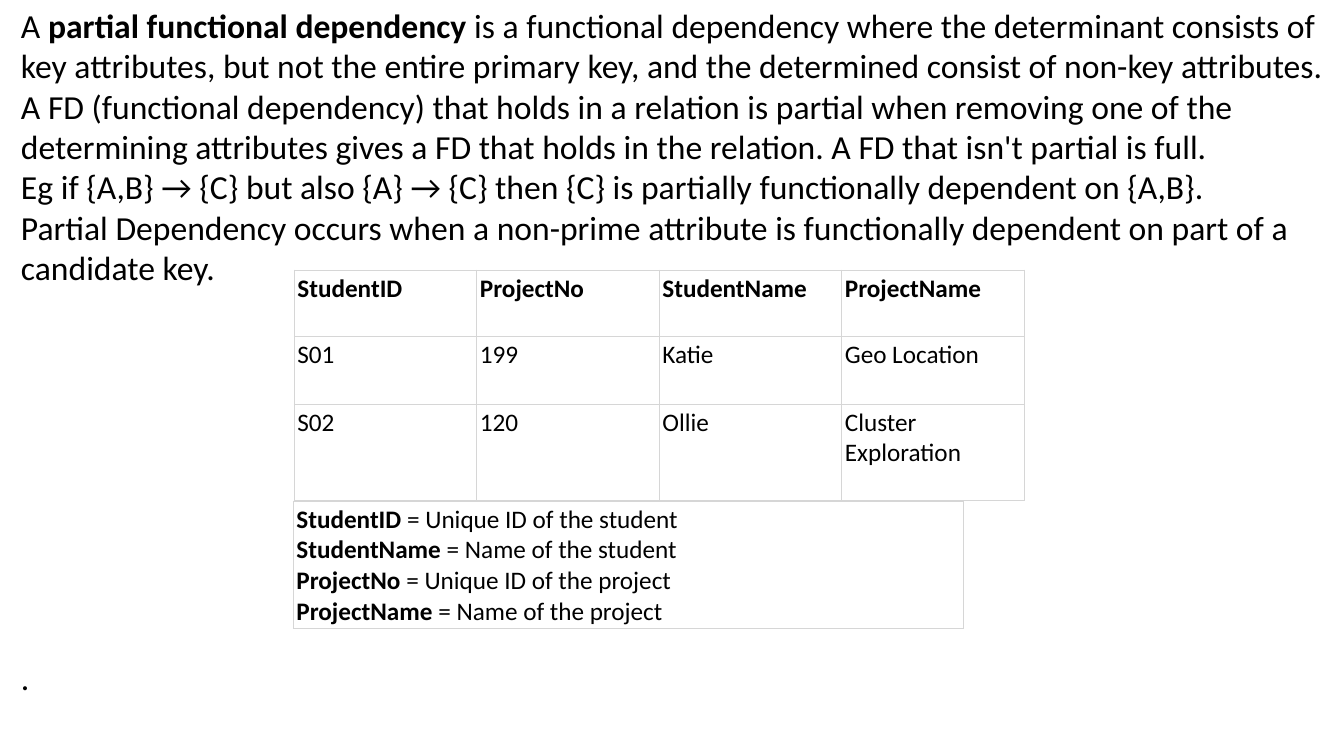
from lxml.etree import SubElement
from pptx import Presentation
from pptx.dml.color import RGBColor
from pptx.enum.text import MSO_ANCHOR
from pptx.oxml.ns import qn
from pptx.util import Inches, Pt

BLACK = RGBColor(0x00, 0x00, 0x00)
WHITE = RGBColor(0xFF, 0xFF, 0xFF)
BORDER = RGBColor(0xD6, 0xD6, 0xD6)
FONT = "Calibri"
BODY_SIZE = 24
TABLE_SIZE = 18

# Each paragraph is a list of (text, bold) runs.
DEFINITION = [
    [("A ", False),
     ("partial functional dependency", True),
     (" is a functional dependency where the determinant consists of key "
      "attributes, but not the entire primary key, and the determined consist "
      "of non-key attributes. A FD (functional dependency) that holds in a "
      "relation is partial when removing one of the determining attributes "
      "gives a FD that holds in the relation. A FD that isn't partial is full.",
      False)],
    [("Eg if {A,B} → {C} but also {A} → {C} then {C} is partially functionally "
      "dependent on {A,B}.", False)],
    [("Partial Dependency occurs when a non-prime attribute is functionally "
      "dependent on part of a candidate key.", False)],
    [(".", False)],
]
PROJECTS = [
    ["StudentID", "ProjectNo", "StudentName", "ProjectName"],
    ["S01", "199", "Katie", "Geo Location"],
    ["S02", "120", "Ollie", "Cluster Exploration"],
]
LEGEND = [
    ("StudentID", "Unique ID of the student"),
    ("StudentName", "Name of the student"),
    ("ProjectNo", "Unique ID of the project"),
    ("ProjectName", "Name of the project"),
]


def add_paragraphs(tf, paragraphs, size):
    """Fill a text frame with paragraphs made of (text, bold) runs."""
    for i, runs in enumerate(paragraphs):
        p = tf.paragraphs[0] if i == 0 else tf.add_paragraph()
        for text, bold in runs:
            r = p.add_run()
            r.text = text
            r.font.name = FONT
            r.font.size = Pt(size)
            r.font.bold = bold
            r.font.color.rgb = BLACK


def add_definition(slide):
    box = slide.shapes.add_textbox(Inches(0.11), 0, Inches(13.22), Inches(6.97))
    tf = box.text_frame
    tf.word_wrap = True
    add_paragraphs(tf, DEFINITION, BODY_SIZE)
    tf.paragraphs[-1].space_before = Pt(264)


def add_borders(cell):
    tc_pr = cell._tc.get_or_add_tcPr()
    for i, side in enumerate(("lnL", "lnR", "lnT", "lnB")):
        ln = SubElement(tc_pr, qn(f"a:{side}"), w=str(Pt(0.75)))
        fill = SubElement(ln, qn("a:solidFill"))
        SubElement(fill, qn("a:srgbClr"), val=str(BORDER))
        tc_pr.insert(i, ln)


def add_grid(slide, left, top, col_width, row_heights, rows):
    """Add a bordered table whose cells are lists of paragraphs."""
    n_cols = len(rows[0])
    table = slide.shapes.add_table(
        len(rows), n_cols, Inches(left), Inches(top),
        Inches(col_width * n_cols), Inches(sum(row_heights))).table
    table.first_row = False
    table.horz_banding = False
    for col in table.columns:
        col.width = Inches(col_width)
    for row, height, contents in zip(table.rows, row_heights, rows):
        row.height = Inches(height)
        for cell, paragraphs in zip(row.cells, contents):
            cell.margin_left = cell.margin_right = Inches(0.03)
            cell.margin_top = cell.margin_bottom = Inches(0.03)
            cell.vertical_anchor = MSO_ANCHOR.TOP
            cell.fill.solid()
            cell.fill.fore_color.rgb = WHITE
            add_borders(cell)
            add_paragraphs(cell.text_frame, paragraphs, TABLE_SIZE)


def main():
    prs = Presentation()
    prs.slide_width = Inches(13.33)
    prs.slide_height = Inches(7.5)
    slide = prs.slides.add_slide(prs.slide_layouts[6])

    add_definition(slide)
    projects = [[[[(text, i == 0)]] for text in row]
                for i, row in enumerate(PROJECTS)]
    add_grid(slide, 2.92, 2.68, 1.81, [0.66, 0.67, 0.96], projects)
    legend = [[(name, True), (f" = {meaning}", False)]
              for name, meaning in LEGEND]
    add_grid(slide, 2.91, 4.97, 6.65, [1.26], [[legend]])

    prs.save("out.pptx")


if __name__ == "__main__":
    main()
